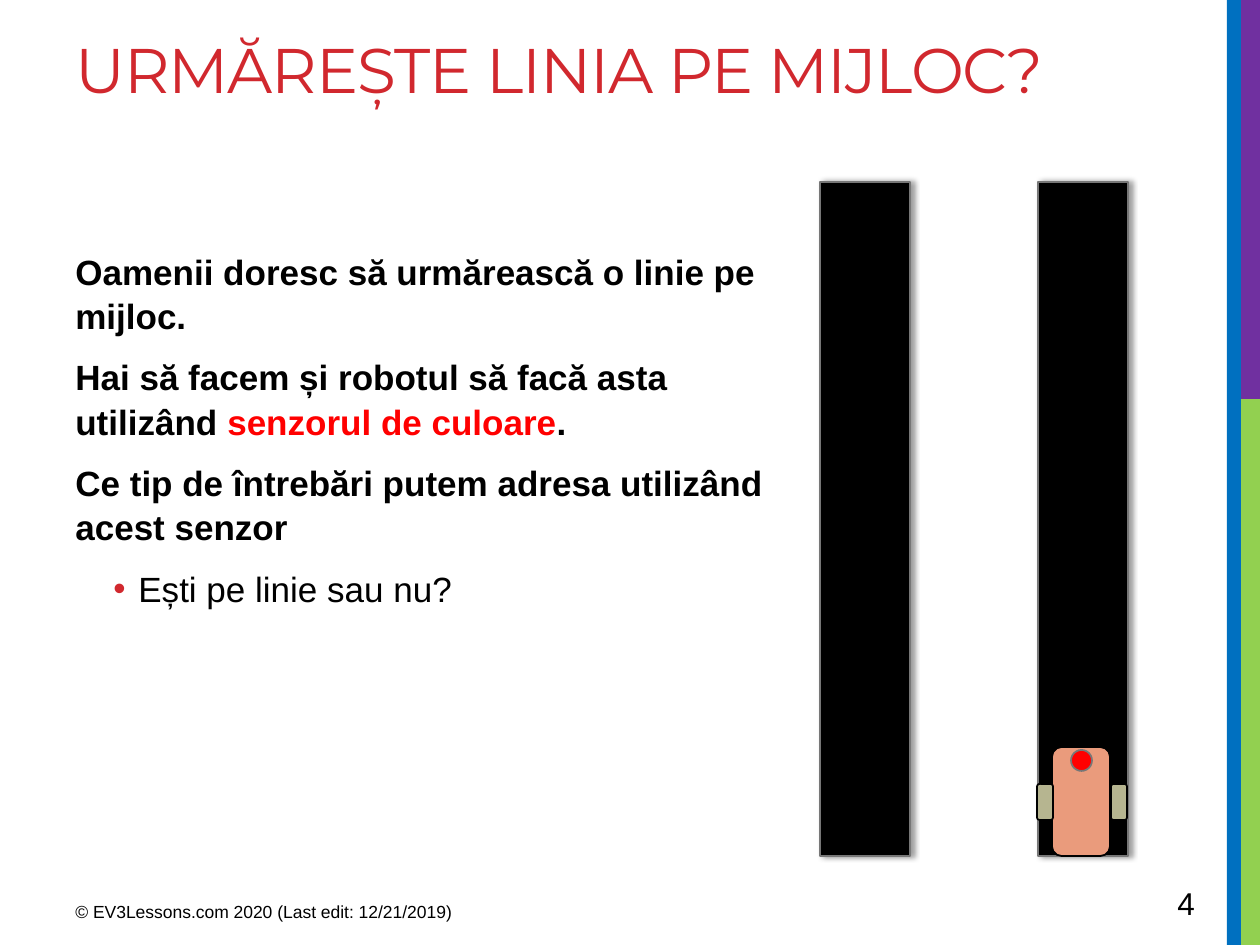
from typing import NamedTuple, Optional

from lxml.etree import SubElement
from pptx import Presentation
from pptx.dml.color import RGBColor
from pptx.enum.shapes import MSO_SHAPE as Preset
from pptx.enum.text import MSO_ANCHOR as Anchor
from pptx.oxml.ns import qn
from pptx.util import Emu, Pt

PX_PER_INCH = 126
COLORS = {
    "black": "000000",
    "crimson": "D1282E",
    "red": "FF0000",
    "blue": "0070C0",
    "green": "92D050",
    "purple": "7030A0",
    "gray": "777777",
    "salmon": "EA9B7C",
    "khaki": "B6B590",
}


class Area(NamedTuple):
    left: int
    top: int
    width: int
    height: int


class Block(NamedTuple):
    area: Area
    fill: str
    line: Optional[str] = None
    preset: Preset = Preset.RECTANGLE


class Span(NamedTuple):
    text: str
    size: int
    color: str = "black"
    bold: bool = False
    font: str = "Arial"
    tracking: int = 0


class Para(NamedTuple):
    spans: list[Span]
    before: int = 0
    after: int = 0
    line_spacing: float = 1.0
    bullet: bool = False


def px(length: int) -> Emu:
    return Emu(round(length * 914400 / PX_PER_INCH))


def rgb(name: str) -> RGBColor:
    return RGBColor.from_string(COLORS[name])


def draw_block(shapes, block: Block):
    shape = shapes.add_shape(block.preset, *map(px, block.area))
    shape.shadow.inherit = False
    shape.fill.solid()
    shape.fill.fore_color.rgb = rgb(block.fill)
    if block.line:
        shape.line.color.rgb = rgb(block.line)
        shape.line.width = Pt(1)
    else:
        shape.line.fill.background()
    return shape


def cast_shadow(shape) -> None:
    """Give the shape a soft shadow to its right."""
    effects = shape._element.spPr.find(qn("a:effectLst"))
    shadow = SubElement(effects, qn("a:outerShdw"), blurRad=str(Pt(3.1)),
                        dist=str(Pt(1.8)), dir="0", rotWithShape="0")
    color = SubElement(shadow, qn("a:srgbClr"), val=COLORS["black"])
    SubElement(color, qn("a:alpha"), val="40000")


def add_bullet(paragraph) -> None:
    properties = paragraph._p.get_or_add_pPr()
    properties.set("marL", str(px(63)))
    properties.set("indent", str(px(-25)))
    color = SubElement(properties, qn("a:buClr"))
    SubElement(color, qn("a:srgbClr"), val=COLORS["crimson"])
    SubElement(properties, qn("a:buFont"), typeface="Arial")
    SubElement(properties, qn("a:buChar"), char="•")


def draw_text(page, area: Area, paras: list[Para], anchor=Anchor.TOP) -> None:
    frame = page.shapes.add_textbox(*map(px, area)).text_frame
    frame.word_wrap = True
    frame.vertical_anchor = anchor
    for index, para in enumerate(paras):
        paragraph = frame.add_paragraph() if index else frame.paragraphs[0]
        if para.bullet:
            add_bullet(paragraph)
            paragraph.level = 1
        paragraph.line_spacing = para.line_spacing
        paragraph.space_before = Pt(para.before)
        paragraph.space_after = Pt(para.after)
        for span in para.spans:
            run = paragraph.add_run()
            run.text = span.text
            run.font.name = span.font
            run.font.size = Pt(span.size)
            run.font.bold = span.bold
            run.font.color.rgb = rgb(span.color)
            if span.tracking:
                run._r.get_or_add_rPr().set("spc", str(span.tracking))


SIDE_BARS = [
    Block(Area(1240, 399, 20, 546), "green"),
    Block(Area(1235, 0, 25, 399), "purple"),
    Block(Area(1227, 0, 14, 945), "blue"),
]
TRACK_LEFTS = [820, 1038]
WHEEL_LEFTS = [1111, 1037]
ROBOT = [
    Block(Area(1052, 747, 58, 109), "salmon", "black", Preset.ROUNDED_RECTANGLE),
    *(Block(Area(left, 784, 16, 36), "khaki", "black", Preset.ROUNDED_RECTANGLE)
      for left in WHEEL_LEFTS),
    Block(Area(1071, 750, 21, 21), "red", "gray", Preset.OVAL),
]
TITLE = Span("URMĂREȘTE LINIA PE MIJLOC?", 36, "crimson",
             font="Montserrat", tracking=-60)
BODY = [
    Para([Span("Oamenii doresc să urmărească o linie pe mijloc.", 20, bold=True)],
         0, 6, 1.05),
    Para([Span("Hai să facem și robotul să facă asta utilizând ", 20, bold=True),
          Span("senzorul de culoare", 20, "red", bold=True),
          Span(".", 20, bold=True)], 4, 6, 1.05),
    Para([Span("Ce tip de întrebări putem adresa utilizând acest senzor", 20,
               bold=True)], 4, 6, 1.05),
    Para([Span("Ești pe linie sau nu?", 20)], 4, 0, 1.05, bullet=True),
]
FOOTER = Span("© EV3Lessons.com 2020 (Last edit: 12/21/2019)", 10)


def main() -> None:
    deck = Presentation()
    deck.slide_width, deck.slide_height = px(1260), px(945)
    page = deck.slides.add_slide(deck.slide_layouts[6])

    for bar in SIDE_BARS:
        draw_block(page.shapes, bar)
    draw_text(page, Area(63, 21, 1137, 189), [Para([TITLE], line_spacing=1.05)])
    draw_text(page, Area(63, 242, 718, 602), BODY)
    draw_text(page, Area(63, 895, 473, 39), [Para([FOOTER])])
    draw_text(page, Area(1165, 878, 87, 50), [Para([Span("4", 18)])], Anchor.BOTTOM)
    for left in TRACK_LEFTS:
        cast_shadow(draw_block(page.shapes,
                               Block(Area(left, 182, 90, 674), "black", "gray")))
    robot = page.shapes.add_group_shape()
    for part in ROBOT:
        draw_block(robot.shapes, part)

    deck.save("out.pptx")


if __name__ == "__main__":
    main()
